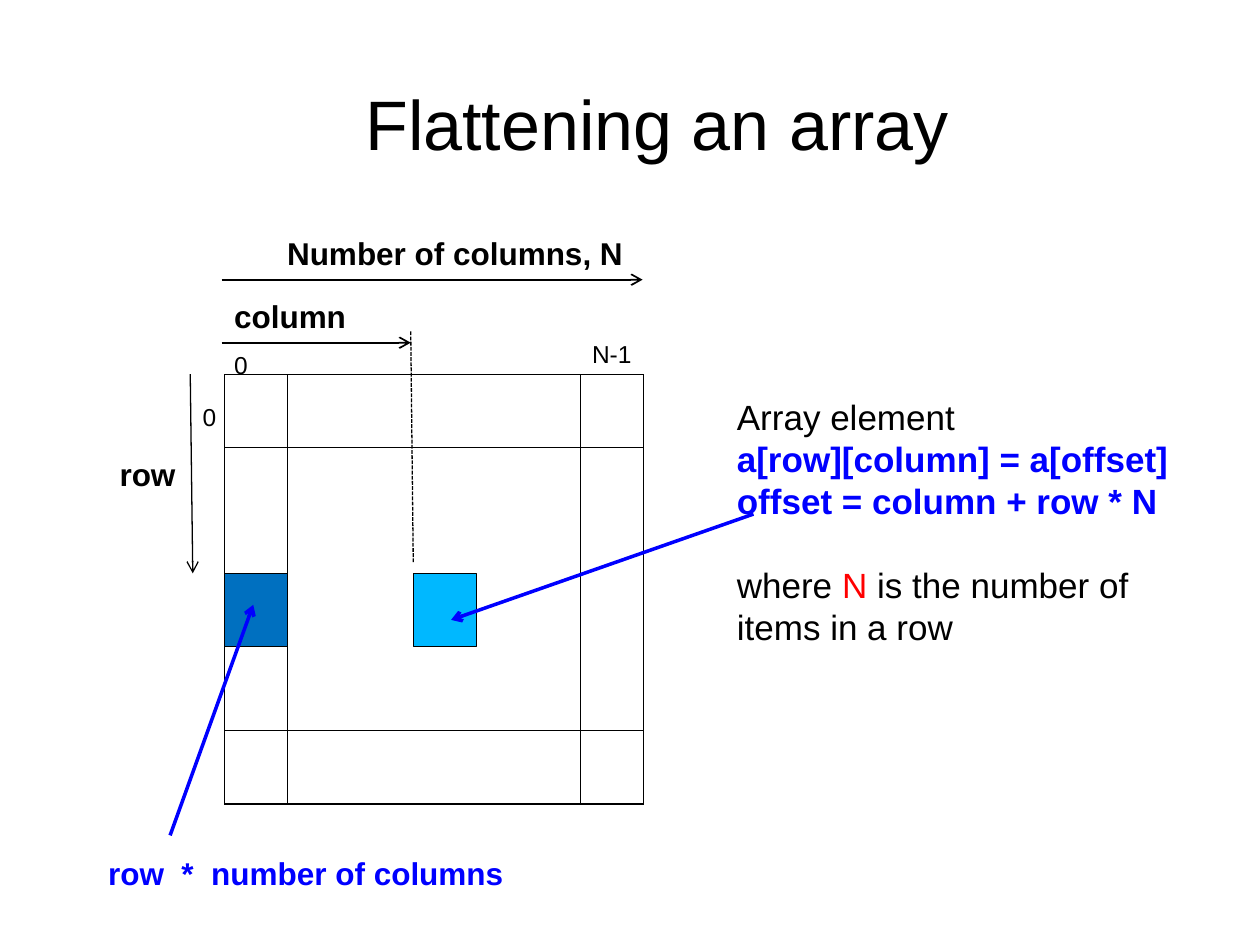
"""Build a slide that explains how a two-dimensional array is flattened."""
from dataclasses import dataclass

from lxml import etree
from pptx import Presentation
from pptx import util as u
from pptx.dml.color import RGBColor
from pptx.enum import dml, shapes, text
from pptx.oxml import ns


@dataclass(frozen=True)
class Theme:
    """Colours, font and sizes of the deck."""
    font: str = "Arial"
    ink: str = "000000"
    blue: str = "0000FF"
    red: str = "FF0000"
    row_start: str = "0070C0"
    element: str = "00B8FF"
    title: int = 40
    body: int = 20
    label: int = 18
    index: int = 14
    leading: float = 1.2
    thin: float = 0.75
    medium: float = 1
    thick: float = 2


class Sketch:
    """Draws themed elements on the current slide."""

    def __init__(self, slide, theme):
        """Keep the slide and its theme."""
        self.slide = slide
        self.theme = theme

    def fill_text(self, box, paragraphs, size, wrap, inset=(0.1, 0.06)):
        """Fill a text box with paragraphs of (text, colour, bold) runs."""
        frame = box.text_frame
        frame.word_wrap = wrap
        frame.auto_size = text.MSO_AUTO_SIZE.NONE
        frame.vertical_anchor = text.MSO_ANCHOR.TOP
        frame.margin_left, frame.margin_top = map(u.Inches, inset)
        frame.margin_right, frame.margin_bottom = u.Inches(0.1), 0
        for number, runs in enumerate(paragraphs):
            para = frame.add_paragraph() if number else frame.paragraphs[0]
            para.alignment = text.PP_ALIGN.LEFT
            para.line_spacing = u.Pt(size * self.theme.leading)
            para.space_before = u.Pt(0)
            for words, colour, bold in runs:
                span = para.add_run()
                span.text = words
                span.font.name = self.theme.font
                span.font.size = u.Pt(size)
                span.font.bold = bold
                span.font.color.rgb = RGBColor.from_string(colour)
        return frame

    def title(self, words, place):
        """Place and fill the title."""
        box = self.slide.shapes.title
        box.left, box.top, box.width, box.height = map(u.Inches, place)
        self.fill_text(box, [[(words, self.theme.ink, False)]],
                       self.theme.title, False, (0.05, 0.09))

    def text(self, paragraphs, place, size, wrap=False):
        """Add a text box."""
        box = self.slide.shapes.add_textbox(*map(u.Inches, place))
        return self.fill_text(box, paragraphs, size, wrap)

    def label(self, words, place, size=None, colour=None, bold=True):
        """Add a one-line label."""
        run = (words, colour or self.theme.ink, bold)
        self.text([[run]], place, size or self.theme.label)

    def line(self, start, end, width=None, colour=None, arrow=False, dash=None):
        """Add a straight line, with an arrowhead at its end if wanted."""
        line = self.slide.shapes.add_connector(
            shapes.MSO_CONNECTOR.STRAIGHT, *map(u.Inches, (*start, *end)))
        line.line.width = u.Pt(width or self.theme.thin)
        line.line.color.rgb = RGBColor.from_string(colour or self.theme.ink)
        if dash:
            line.line.dash_style = dash
        properties = line._element.spPr
        if arrow:
            etree.SubElement(properties.find(ns.qn("a:ln")),
                             ns.qn("a:tailEnd"), type="arrow")
        etree.SubElement(properties, ns.qn("a:effectLst"))

    def cell(self, left, top, width, height, colour):
        """Add a filled array cell."""
        cell = self.slide.shapes.add_shape(
            shapes.MSO_SHAPE.RECTANGLE,
            *map(u.Inches, (left, top, width, height)))
        cell.shadow.inherit = False
        cell.fill.solid()
        cell.fill.fore_color.rgb = RGBColor.from_string(colour)
        cell.line.width = u.Pt(self.theme.thin)
        cell.line.color.rgb = RGBColor.from_string(self.theme.ink)


def main():
    """Build and save the deck."""
    deck = Presentation()
    deck.slide_width, deck.slide_height = u.Inches(10), u.Inches(7.5)
    theme = Theme()
    sketch = Sketch(deck.slides.add_slide(deck.slide_layouts[5]), theme)
    left, top, right, bottom = 1.78, 2.97, 5.11, 6.38
    cell_width, cell_height = 0.5, 0.58
    element_left, element_top = 3.28, 4.55

    sketch.title("Flattening an array", (2.85, 0.55, 4.88, 0.69))

    for y in (top, top + cell_height, bottom - cell_height, bottom):
        sketch.line((left, y), (right, y))
    for x in (left, left + cell_width, right - cell_width, right):
        sketch.line((x, top), (x, bottom))
    for x, colour in ((element_left, theme.element), (left, theme.row_start)):
        sketch.cell(x, element_top, cell_width, cell_height, colour)

    for y, end in ((2.22, 5.1), (2.72, 3.26)):
        sketch.line((1.76, y), (end, y), theme.medium, arrow=True)
    sketch.line((1.51, top), (1.53, element_top), arrow=True)
    sketch.line((3.26, 2.63), (element_left, 4.47),
                dash=dml.MSO_LINE.SQUARE_DOT)
    for start, end in (((5.98, 4.08), (3.58, 4.92)),
                       ((1.35, 6.63), (2.01, 4.8))):
        sketch.line(start, end, theme.thick, theme.blue, arrow=True)

    sketch.label("Number of columns, N", (2.18, 1.8, 2.89, 0.36))
    sketch.label("column", (1.76, 2.3, 1.1, 0.36))
    sketch.label("row", (0.85, 3.55, 0.65, 0.36))
    sketch.text([[("row  *  number of columns", theme.blue, True)]],
                (0.76, 6.72, 4.83, 0.36), theme.label, True)
    for words, place in (("0", (1.76, 2.72, 0.31, 0.31)),
                         ("0", (1.51, 3.13, 0.31, 0.31)),
                         ("N-1", (4.6, 2.63, 0.52, 0.31))):
        sketch.label(words, place, theme.index, bold=False)

    formula = sketch.text([
        [("Array element", theme.ink, False)],
        [("a[row][column] = a[offset]", theme.blue, True)],
        [("offset = column + row * N", theme.blue, True)],
        [("where ", theme.ink, False), ("N ", theme.red, False),
         ("is the number of items in a row", theme.ink, False)],
    ], (5.75, 3.08, 4, 2.42), theme.body, True)
    formula.paragraphs[-1].space_before = u.Pt(theme.body * theme.leading)

    deck.save("out.pptx")


main()
